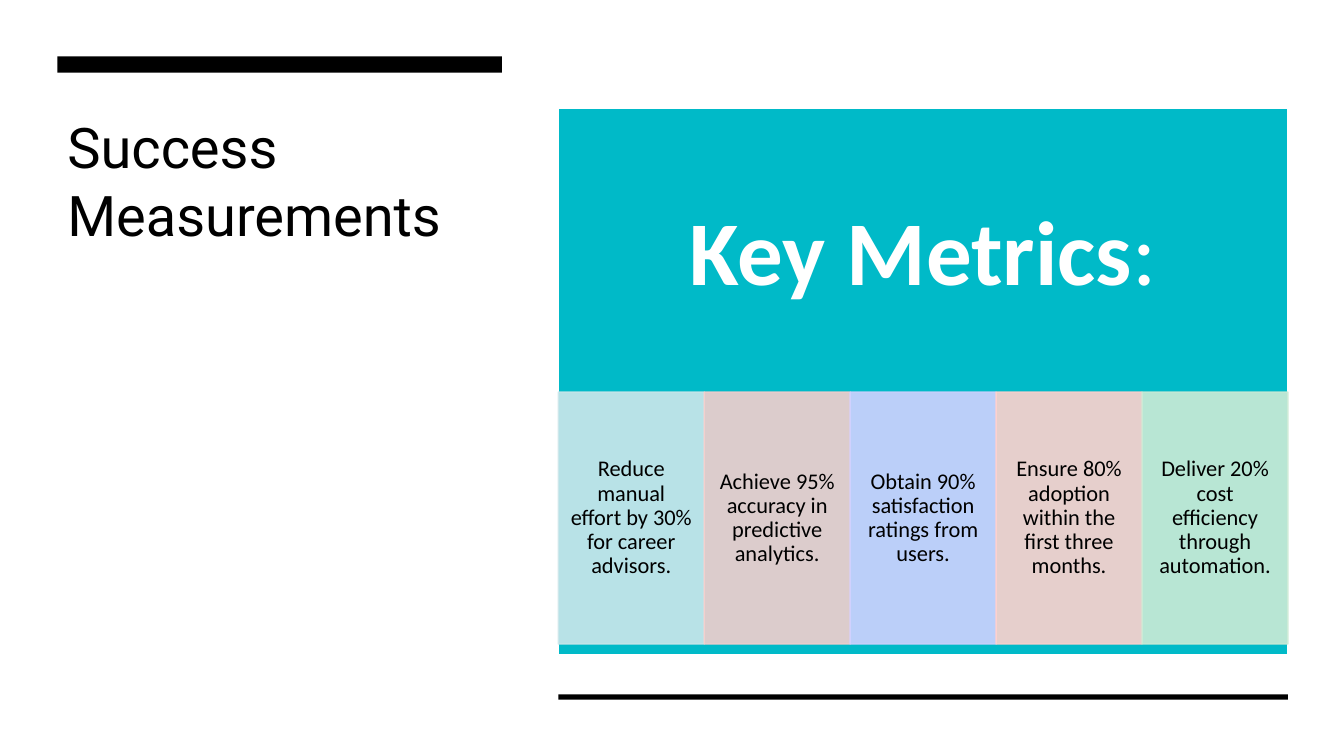
from lxml import etree
from pptx import Presentation, util as u
from pptx.dml.color import RGBColor
from pptx.enum import shapes, text
from pptx.oxml.ns import qn

BLACK = RGBColor(0x00, 0x00, 0x00)
WHITE = RGBColor(0xFF, 0xFF, 0xFF)
TEAL = RGBColor(0x00, 0xBA, 0xC8)
AQUA = RGBColor(0xCC, 0xE7, 0xEB)
ROSE = RGBColor(0xF5, 0xCF, 0xCD)
LILAC = RGBColor(0xD0, 0xD2, 0xFF)
PEACH = RGBColor(0xFF, 0xD2, 0xCD)
MINT = RGBColor(0xCC, 0xEB, 0xD6)

TITLE = "Success Measurements"
HEAD = [("Key Metrics", True), (":", False)]
CARDS = [
    ("Reduce manual effort by 30% for career advisors.", AQUA),
    ("Achieve 95% accuracy in predictive analytics.", ROSE),
    ("Obtain 90% satisfaction ratings from users.", LILAC),
    ("Ensure 80% adoption within the first three months.", PEACH),
    ("Deliver 20% cost efficiency through automation.", MINT),
]

LEFT, SIDE = 1.45, 11.2
TOP = 2.72
MAIN, WIDE = 14.07, 18.39
STEP = WIDE / len(CARDS)


def place(x, y, w, h):
    return [u.Cm(v) for v in (x, y, w, h)]


def add_box(slide, box, fill, line=None):
    rect = slide.shapes.add_shape(shapes.MSO_SHAPE.RECTANGLE, *place(*box))
    rect.shadow.inherit = False
    rect.fill.solid()
    rect.fill.fore_color.rgb = fill
    if line is None:
        rect.line.fill.background()
    else:
        rect.line.color.rgb = line
        rect.line.width = u.Pt(1)
    return rect


def fade(rect, share):
    for color in rect._element.spPr.iter(qn("a:srgbClr")):
        etree.SubElement(color, qn("a:alpha")).set("val", str(share * 1000))


def write(shape, runs, font, size, color):
    frame = shape.text_frame
    frame.word_wrap = True
    para = frame.paragraphs[0]
    para.font.name = font
    para.font.size = u.Pt(size)
    para.font.color.rgb = color
    for words, bold in runs:
        run = para.add_run()
        run.text = words
        if bold:
            run.font.bold = True
    return frame


def center(frame, side, edge):
    frame.vertical_anchor = text.MSO_ANCHOR.MIDDLE
    frame.margin_left = frame.margin_right = u.Cm(side)
    frame.margin_top = frame.margin_bottom = u.Cm(edge)
    para = frame.paragraphs[0]
    para.alignment = text.PP_ALIGN.CENTER
    para.line_spacing = 0.9


def main():
    deck = Presentation()
    deck.slide_width, deck.slide_height = u.Cm(33.87), u.Cm(19.05)
    slide = deck.slides.add_slide(deck.slide_layouts[6])

    title = slide.shapes.add_textbox(*place(LEFT, TOP, SIDE, 9.35))
    write(title, [(TITLE, False)], "Roboto", 40, BLACK)
    add_box(slide, (LEFT, 1.42, SIDE, 0.41), BLACK)
    add_box(slide, (MAIN, 17.5, WIDE, 0.13), BLACK)

    add_box(slide, (MAIN, TOP, WIDE, 13.79), TEAL, WHITE)
    head = slide.shapes.add_textbox(*place(MAIN, TOP, WIDE, 7.44))
    center(write(head, HEAD, "Calibri", 65, WHITE), 1.3, 1.3)

    for i, (words, color) in enumerate(CARDS):
        card = add_box(slide, (MAIN + i * STEP, 9.88, STEP, 6.35), color, color)
        fade(card, 90)
        center(write(card, [(words, False)], "Calibri", 16, BLACK), 0.3, 0.05)

    deck.save("out.pptx")


if __name__ == "__main__":
    main()
